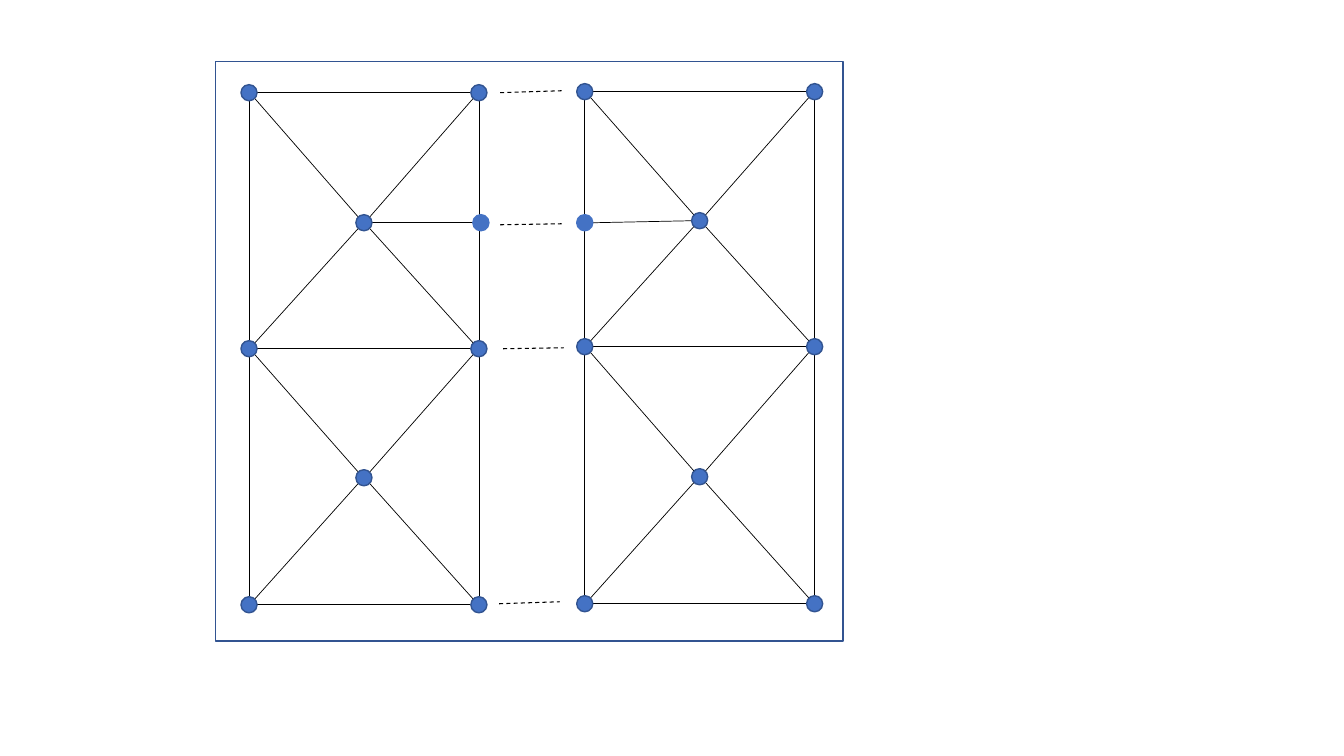
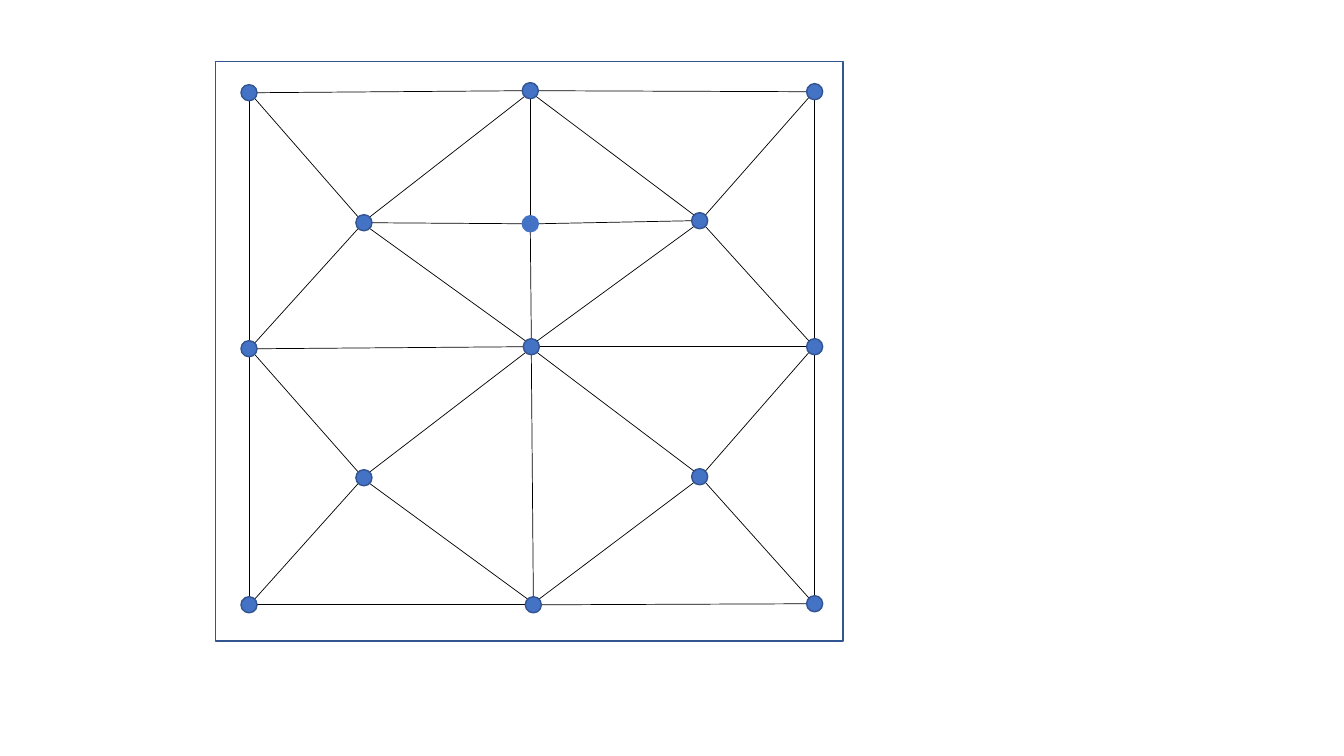
import itertools
import math
from dataclasses import dataclass
from typing import Any, Iterable, NamedTuple

import lxml.etree
import pptx
import pptx.dml.color
import pptx.enum.dml
import pptx.enum.shapes
import pptx.oxml.ns
import pptx.util

EMU_PER_PX = 9144


@dataclass(frozen=True)
class Theme:
    node: str = "4472C4"
    outline: str = "325491"
    edge: str = "000000"
    outline_width: float = 1
    edge_width: float = 0.5
    gap_width: float = 0.75
    node_radius: int = 8


class Node(NamedTuple):
    x: int
    y: int
    outline: str


class Edge(NamedTuple):
    start: Node
    end: Node


class Gap(NamedTuple):
    x1: int
    y1: int
    x2: int
    y2: int


class Box(NamedTuple):
    left: int
    top: int
    width: int
    height: int


THEME = Theme()
FRAME = Box(214, 61, 622, 575)


def px(value: float) -> int:
    return round(value * EMU_PER_PX)


def rgb(code: str) -> pptx.dml.color.RGBColor:
    return pptx.dml.color.RGBColor.from_string(code)


def column(xs: Iterable[int], ys: Iterable[int]) -> list[Node]:
    return [Node(x, y, THEME.outline) for x, y in zip(xs, ys)]


OUTER_LEFT = column([247] * 3, [92, 346, 600])
INNER_LEFT = column([475] * 3, [92, 346, 600])
CENTRES_LEFT = column([361] * 2, [221, 474])
INNER_RIGHT = column([580] * 3, [91, 344, 599])
OUTER_RIGHT = column([808] * 3, [91, 344, 599])
CENTRES_RIGHT = column([694] * 2, [219, 473])
SEAM = column([526, 527, 529], [90, 344, 600])

STUB_LEFT = Node(477, 221, THEME.node)
STUB_RIGHT = Node(580, 221, THEME.node)
HUB = Node(526, 222, THEME.node)

GAPS = [
    Gap(496, 92, 557, 90),
    Gap(496, 223, 557, 222),
    Gap(499, 346, 559, 345),
    Gap(495, 599, 555, 597),
]


def chain(nodes: list[Node]) -> list[Edge]:
    return [Edge(*pair) for pair in itertools.pairwise(nodes)]


def panel(left: list[Node], right: list[Node], centres: list[Node]) -> list[Edge]:
    rows = [Edge(*pair) for pair in zip(left, right)]
    spokes = [
        Edge(corner, centre)
        for index, centre in enumerate(centres)
        for corner in left[index:index + 2] + right[index:index + 2]
    ]
    return rows + spokes


def draw_line(page: Any, x1: float, y1: float, x2: float, y2: float,
              width: float, dashed: bool = False) -> None:
    line = page.shapes.add_connector(
        pptx.enum.shapes.MSO_CONNECTOR.STRAIGHT, px(x1), px(y1), px(x2), px(y2))
    line.line.color.rgb = rgb(THEME.edge)
    line.line.width = pptx.util.Pt(width)
    if dashed:
        line.line.dash_style = pptx.enum.dml.MSO_LINE.DASH
    lxml.etree.SubElement(line.element.spPr, pptx.oxml.ns.qn("a:effectLst"))


def draw_edge(page: Any, edge: Edge) -> None:
    start, end = edge
    octant = math.pi / 4
    angle = octant * round(math.atan2(end.y - start.y, end.x - start.x) / octant)
    dx = THEME.node_radius * math.cos(angle)
    dy = THEME.node_radius * math.sin(angle)
    draw_line(page, start.x + dx, start.y + dy, end.x - dx, end.y - dy, THEME.edge_width)


def draw_shape(page: Any, kind: Any, box: Box, outline: str, fill: str | None = None) -> None:
    shape = page.shapes.add_shape(kind, *map(px, box))
    shape.shadow.inherit = False
    if fill is None:
        shape.fill.background()
    else:
        shape.fill.solid()
        shape.fill.fore_color.rgb = rgb(fill)
    shape.line.color.rgb = rgb(outline)
    shape.line.width = pptx.util.Pt(THEME.outline_width)


def draw_mesh(deck: Any, edges: list[Edge], gaps: Iterable[Gap] = ()) -> None:
    page = deck.slides.add_slide(deck.slide_layouts[6])
    kinds = pptx.enum.shapes.MSO_SHAPE
    radius = THEME.node_radius
    for edge in edges:
        draw_edge(page, edge)
    for node in dict.fromkeys(itertools.chain.from_iterable(edges)):
        box = Box(node.x - radius, node.y - radius, 2 * radius, 2 * radius)
        draw_shape(page, kinds.OVAL, box, node.outline, THEME.node)
    draw_shape(page, kinds.RECTANGLE, FRAME, THEME.outline)
    for gap in gaps:
        draw_line(page, *gap, THEME.gap_width, dashed=True)


def main() -> None:
    deck = pptx.Presentation()
    deck.slide_width, deck.slide_height = px(1333), px(750)
    sides = chain(OUTER_LEFT) + chain(OUTER_RIGHT)
    split_mesh = (
        sides + chain(INNER_LEFT) + chain(INNER_RIGHT)
        + panel(OUTER_LEFT, INNER_LEFT, CENTRES_LEFT)
        + panel(INNER_RIGHT, OUTER_RIGHT, CENTRES_RIGHT)
        + [Edge(CENTRES_LEFT[0], STUB_LEFT), Edge(STUB_RIGHT, CENTRES_RIGHT[0])]
    )
    joined_mesh = (
        sides + chain([SEAM[0], HUB, *SEAM[1:]])
        + panel(OUTER_LEFT, SEAM, CENTRES_LEFT)
        + panel(SEAM, OUTER_RIGHT, CENTRES_RIGHT)
        + chain([CENTRES_LEFT[0], HUB, CENTRES_RIGHT[0]])
    )
    draw_mesh(deck, split_mesh, GAPS)
    draw_mesh(deck, joined_mesh)
    deck.save("out.pptx")


if __name__ == "__main__":
    main()
